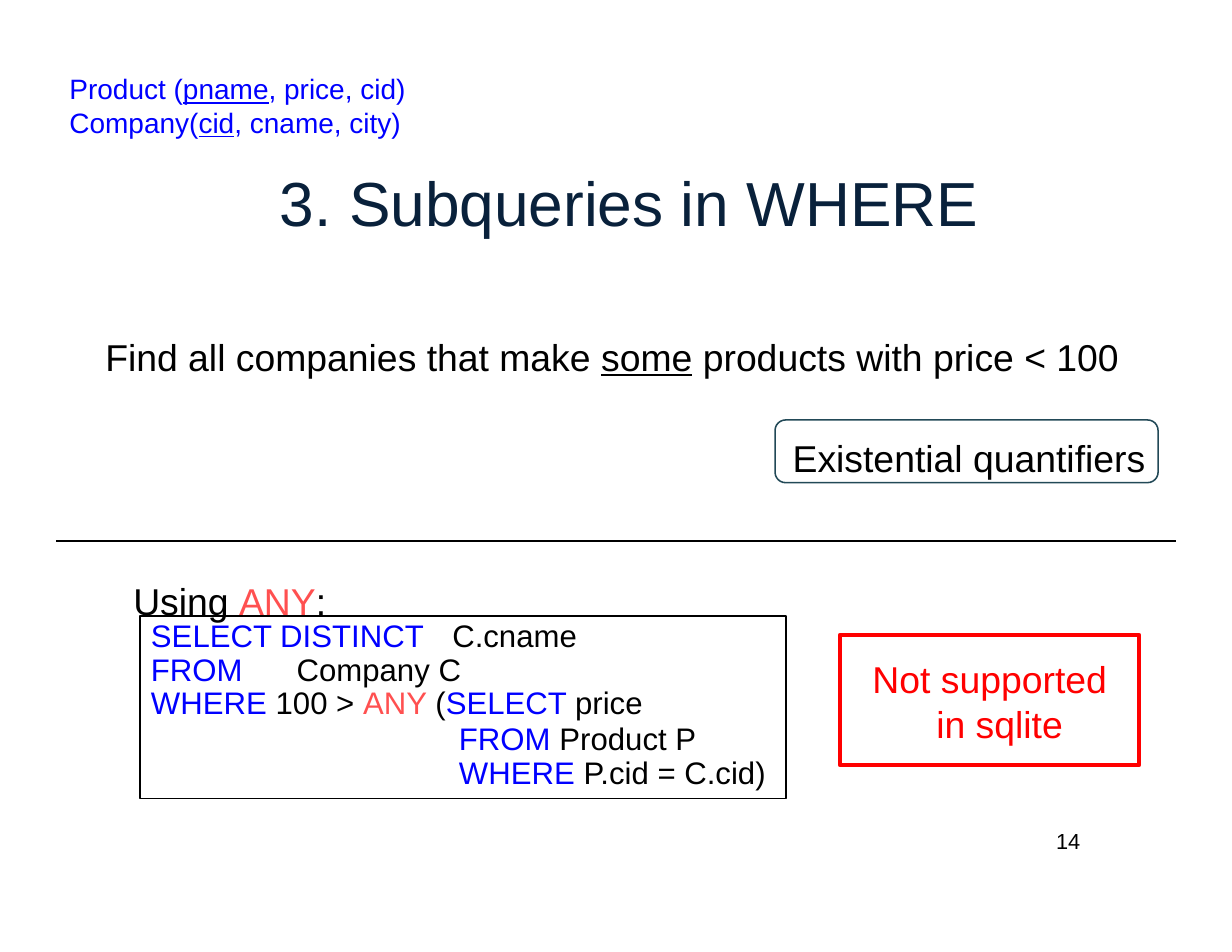
"""Build the slide on subqueries in the WHERE clause."""
import pptx
import pptx.util
import pptx.dml.color
import pptx.enum.shapes
import pptx.enum.text
import pptx.oxml
import pptx.oxml.ns

Inches = pptx.util.Inches
Pt = pptx.util.Pt
SHAPE = pptx.enum.shapes.MSO_SHAPE
BLUE, RED, CORAL, BLACK, NAVY, TEAL = (
    "0000FF", "FF0000", "FF5050", "000000", "09213B", "224957")


def color(code):
    return pptx.dml.color.RGBColor.from_string(code)


def write(shape, size, lines, left=0, top=0.03):
    frame = shape.text_frame
    frame.word_wrap = False
    frame.vertical_anchor = pptx.enum.text.MSO_ANCHOR.TOP
    frame.margin_left, frame.margin_top = Inches(left), Inches(top)
    frame.margin_right = frame.margin_bottom = 0
    for i, line in enumerate(lines):
        para = frame.paragraphs[0] if i == 0 else frame.add_paragraph()
        para.alignment = pptx.enum.text.PP_ALIGN.LEFT
        for text, code, *under in line:
            run = para.add_run()
            run.text = text
            run.font.name = "Arial"
            run.font.size = Pt(size)
            run.font.color.rgb = color(code)
            if under:
                run.font.underline = True
    return frame.paragraphs


prs = pptx.Presentation()
prs.slide_width, prs.slide_height = Inches(11), Inches(8.5)
slide = prs.slides.add_slide(prs.slide_layouts[6])

labels = [
    (0.62, 0.61, 3.1, 0.63, 18, [
        [("Product (", BLUE), ("pname", BLUE, True), (", price, cid)", BLUE)],
        [("Company(", BLUE), ("cid", BLUE, True), (", cname, city)", BLUE)]]),
    (2.5, 1.44, 6.26, 0.7, 40, [[("3. Subqueries in WHERE", NAVY)]]),
    (0.94, 2.95, 9.27, 0.42, 24, [
        [("Find all companies that make ", BLACK), ("some", BLACK, True),
         (" products with price < 100", BLACK)]]),
    (1.19, 5.13, 2, 0.42, 24, [
        [("Using ", BLACK), ("ANY", CORAL), (":", BLACK)]]),
    (9.43, 7.36, 0.26, 0.25, 14, [[("14", BLACK)]]),
]
for x, y, w, h, size, lines in labels:
    box = slide.shapes.add_textbox(Inches(x), Inches(y), Inches(w), Inches(h))
    write(box, size, lines)

rule = slide.shapes.add_connector(
    pptx.enum.shapes.MSO_CONNECTOR.STRAIGHT,
    Inches(0.5), Inches(4.83), Inches(10.5), Inches(4.83))
rule.line.color.rgb = color(BLACK)
rule.line.width = Pt(1)
rule._element.spPr.append(pptx.oxml.parse_xml(
    "<a:effectLst %s/>" % pptx.oxml.ns.nsdecls("a")))

query = [
    [("SELECT DISTINCT\t", BLUE), ("C.cname", BLACK)],
    [("FROM\t", BLUE), ("Company C", BLACK)],
    [("WHERE ", BLUE), ("100 > ", BLACK), ("ANY ", CORAL), ("(", BLACK),
     ("SELECT ", BLUE), ("price", BLACK)],
    [("FROM ", BLUE), ("Product P", BLACK)],
    [("WHERE ", BLUE), ("P.cid = C.cid)", BLACK)],
]
warning = [[("Not supported", RED)], [("in sqlite", RED)]]
frames = [
    (SHAPE.RECTANGLE, 1.25, 5.5, 5.77, 1.63, BLACK, 1, 20, query, 0.1, 0.02),
    (SHAPE.ROUNDED_RECTANGLE, 6.92, 3.75, 3.42, 0.56, TEAL, 1, 24,
     [[("Existential quantifiers", BLACK)]], 0.13, 0.11),
    (SHAPE.RECTANGLE, 7.5, 5.67, 2.67, 1.16, RED, 3, 24, warning, 0.29, 0.19),
]
paras = []
for kind, x, y, w, h, edge, width, size, lines, left, top in frames:
    box = slide.shapes.add_shape(
        kind, Inches(x), Inches(y), Inches(w), Inches(h))
    box.shadow.inherit = False
    box.fill.background()
    box.line.color.rgb = color(edge)
    box.line.width = Pt(width)
    paras.append(write(box, size, lines, left, top))

code, _, notice = paras
for para in code:
    para.line_spacing = Pt(21.6)
code[0].line_spacing = Pt(22.8)
code[3].space_before = Pt(1.6)
for para, stop in zip(code, (2.69, 1.3)):
    para._p.get_or_add_pPr().append(pptx.oxml.parse_xml(
        '<a:tabLst %s><a:tab pos="%d" algn="l"/></a:tabLst>'
        % (pptx.oxml.ns.nsdecls("a"), Inches(stop))))
for para, indent in ((code[3], 2.75), (code[4], 2.75), (notice[1], 0.57)):
    para._p.get_or_add_pPr().set("marL", str(Inches(indent)))

prs.save("out.pptx")
